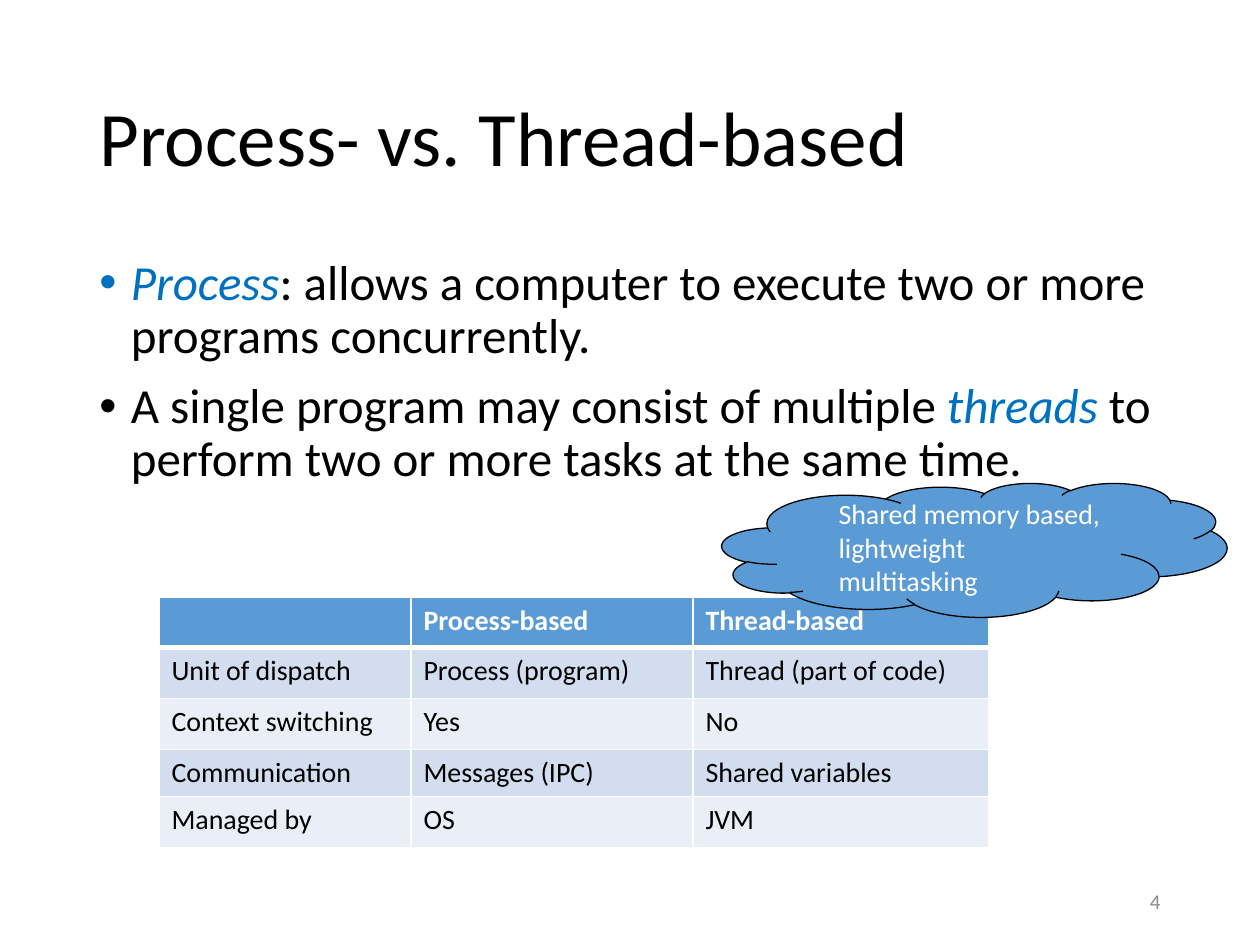
from lxml import etree
from pptx import Presentation
from pptx import util as u
from pptx.dml.color import RGBColor
from pptx.enum import shapes, text
from pptx.oxml.ns import qn

BLACK, WHITE, GRAY = "000000", "FFFFFF", "8C8C8C"
BLUE, ACCENT = "5B9BD5", "0070C0"
BANDS = ("D2DEEF", "EAEFF7")
ROWS = [
    ("", "Process-based", "Thread-based"),
    ("Unit of dispatch", "Process (program)", "Thread (part of code)"),
    ("Context switching", "Yes", "No"),
    ("Communication", "Messages (IPC)", "Shared variables"),
    ("Managed by", "OS", "JVM"),
]
COLUMN_WIDTHS = (252, 282, 296)
ROW_HEIGHTS = (47, 51, 51, 47, 51)


def px(length):
    return u.Emu(round(length * 914400 / 126))


def color(value):
    return RGBColor.from_string(value)


def paint(target, value):
    target.fill.solid()
    target.fill.fore_color.rgb = color(value)


def write_span(para, content, size=16, ink=BLACK, bold=False, italic=False):
    span = para.add_run()
    span.text = content
    font = span.font
    font.name, font.size = "Calibri", u.Pt(size)
    font.bold, font.italic = bold, italic
    font.color.rgb = color(ink)


def add_box(page, left, top, width, height, anchor=text.MSO_ANCHOR.MIDDLE):
    box = page.shapes.add_textbox(*map(px, (left, top, width, height)))
    box.text_frame.word_wrap = True
    box.text_frame.vertical_anchor = anchor
    return box.text_frame


def set_bullet(para):
    props = para._p.get_or_add_pPr()
    props.set("marL", str(u.Inches(0.25)))
    props.set("indent", str(-u.Inches(0.25)))
    etree.SubElement(props, qn("a:buFont"), typeface="Arial")
    etree.SubElement(props, qn("a:buChar"), char="•")


def add_bullets(page, items):
    frame = add_box(page, 87, 252, 1086, 243, text.MSO_ANCHOR.TOP)
    for index, spans in enumerate(items):
        para = frame.add_paragraph() if index else frame.paragraphs[0]
        para.line_spacing = 0.9
        para.space_before = u.Pt(10)
        set_bullet(para)
        for content, accented in spans:
            write_span(para, content, size=28, italic=accented,
                       ink=ACCENT if accented else BLACK)


def set_borders(cell, bottom):
    props = cell._tc.get_or_add_tcPr()
    widths = {"lnL": 1, "lnR": 1, "lnT": 1, "lnB": bottom}
    for index, (side, width) in enumerate(widths.items()):
        line = etree.Element(qn("a:" + side), w=str(u.Pt(width)))
        fill = etree.SubElement(line, qn("a:solidFill"))
        etree.SubElement(fill, qn("a:srgbClr"), val=WHITE)
        props.insert(index, line)


def add_comparison(page):
    frame = page.shapes.add_table(
        len(ROWS), len(COLUMN_WIDTHS), px(159), px(597),
        px(sum(COLUMN_WIDTHS)), px(sum(ROW_HEIGHTS)))
    table = frame.table
    for column, width in zip(table.columns, COLUMN_WIDTHS):
        column.width = px(width)
    for r, (row, height) in enumerate(zip(ROWS, ROW_HEIGHTS)):
        table.rows[r].height = px(height)
        header = r == 0
        for c, content in enumerate(row):
            cell = table.cell(r, c)
            paint(cell, BLUE if header else BANDS[(r - 1) % 2])
            set_borders(cell, bottom=3 if header else 1)
            if content:
                write_span(cell.text_frame.paragraphs[0], content,
                           ink=WHITE if header else BLACK, bold=header)


def add_cloud(page, content):
    cloud = page.shapes.add_shape(
        shapes.MSO_SHAPE.CLOUD, *map(px, (722, 483, 505, 134)))
    cloud.shadow.inherit = False
    paint(cloud, BLUE)
    cloud.line.color.rgb = color(BLACK)
    cloud.line.width = u.Pt(0.75)
    frame = cloud.text_frame
    frame.word_wrap = True
    frame.vertical_anchor = text.MSO_ANCHOR.MIDDLE
    frame.margin_left = px(47)
    para = frame.paragraphs[0]
    para.alignment = text.PP_ALIGN.LEFT
    write_span(para, content, ink=WHITE)


def main():
    deck = Presentation()
    deck.slide_width, deck.slide_height = px(1260), px(945)
    page = deck.slides.add_slide(deck.slide_layouts[6])

    title = add_box(page, 87, 50, 1086, 183).paragraphs[0]
    title.line_spacing = 0.9
    write_span(title, "Process- vs. Thread-based", size=44)

    add_bullets(page, [
        [("Process", True),
         (": allows a computer to execute two or more programs concurrently.", False)],
        [("A single program may consist of multiple ", False),
         ("threads ", True),
         ("to perform two or more tasks at the same time.", False)],
    ])

    number = add_box(page, 890, 876, 283, 50).paragraphs[0]
    number.alignment = text.PP_ALIGN.RIGHT
    write_span(number, "4", size=12, ink=GRAY)

    add_comparison(page)
    add_cloud(page, "Shared memory based, lightweight multitasking")
    deck.save("out.pptx")


main()
